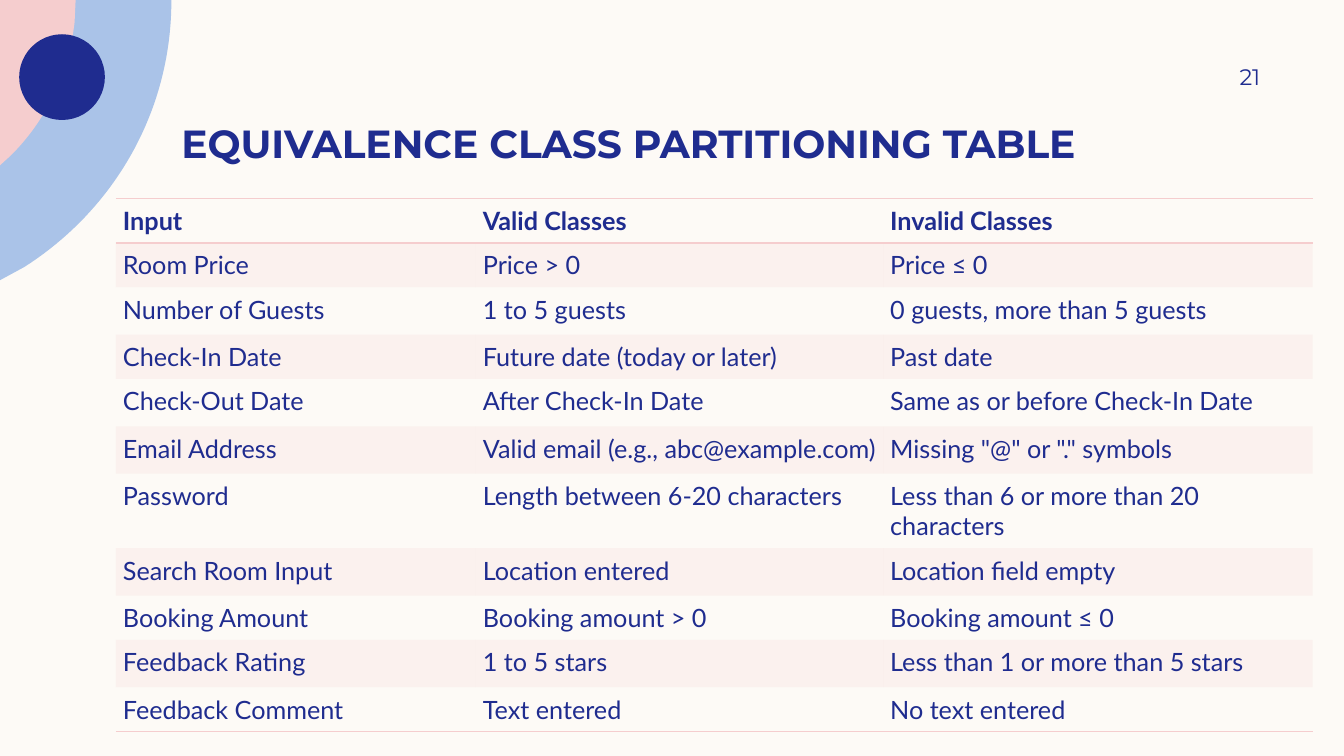
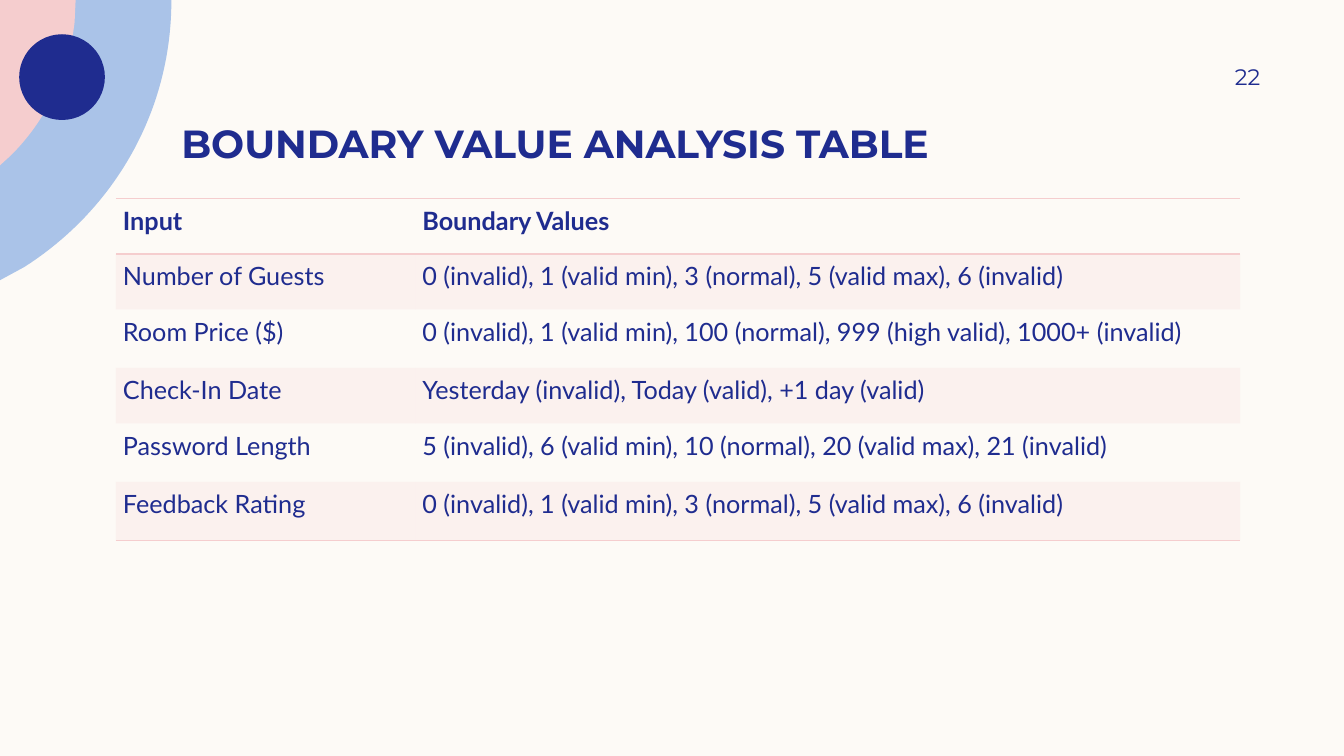
from dataclasses import dataclass

from lxml.etree import SubElement
from pptx import Presentation
from pptx.dml.color import RGBColor
from pptx.enum.shapes import MSO_SHAPE
from pptx.enum.text import MSO_ANCHOR, PP_ALIGN
from pptx.oxml.ns import qn
from pptx.shapes.autoshape import Shape
from pptx.slide import Slide
from pptx.table import _Cell
from pptx.text.text import _Paragraph
from pptx.util import Inches, Pt

CREAM, NAVY, BLUE, PINK = "FDFAF6", "1F2C8F", "AAC3E8", "F5CDCE"
TITLE_FONT, TABLE_FONT = "Montserrat", "Lato"
PLAIN_TABLE_STYLE = "{2D5ABB26-0587-4C30-8999-92F81FD0307C}"
BAND_OPACITY = 20
CELL_MARGIN = 0.07
ARC_STEPS = 40

Point = tuple[float, float]


@dataclass(frozen=True)
class CornerDisc:
    color: str
    top: Point
    curve: tuple[Point, Point, Point, Point]
    left: Point


@dataclass(frozen=True)
class TestTable:
    title: str
    page: int
    widths: tuple[float, ...]
    heights: tuple[float, ...]
    rows: tuple[tuple[str, ...], ...]


CORNER_DISCS = (
    CornerDisc(BLUE, (1.7, 0), ((1.7, 0.01), (1.7, 1.12), (1.12, 2.09), (0.24, 2.65)), (0, 2.78)),
    CornerDisc(PINK, (0.75, 0), ((0.74, 0.22), (0.68, 0.73), (0.46, 1.19), (0.11, 1.54)), (0, 1.64)),
)

TEST_TABLES = (
    TestTable(
        "EQUIVALENCE CLASS PARTITIONING TABLE",
        21,
        (3.57, 4.04, 4.26),
        (0.42, 0.42, 0.47, 0.42, 0.47, 0.47, 0.47, 0.47, 0.42, 0.47, 0.42),
        (
            ("Input", "Valid Classes", "Invalid Classes"),
            ("Room Price", "Price > 0", "Price ≤ 0"),
            ("Number of Guests", "1 to 5 guests", "0 guests, more than 5 guests"),
            ("Check-In Date", "Future date (today or later)", "Past date"),
            ("Check-Out Date", "After Check-In Date", "Same as or before Check-In Date"),
            ("Email Address", "Valid email (e.g., abc@example.com)", 'Missing "@" or "." symbols'),
            ("Password", "Length between 6-20 characters", "Less than 6 or more than 20 characters"),
            ("Search Room Input", "Location entered", "Location field empty"),
            ("Booking Amount", "Booking amount > 0", "Booking amount ≤ 0"),
            ("Feedback Rating", "1 to 5 stars", "Less than 1 or more than 5 stars"),
            ("Feedback Comment", "Text entered", "No text entered"),
        ),
    ),
    TestTable(
        "BOUNDARY VALUE ANALYSIS TABLE",
        22,
        (2.97, 8.18),
        (0.55, 0.55, 0.58, 0.55, 0.58, 0.58),
        (
            ("Input", "Boundary Values"),
            ("Number of Guests", "0 (invalid), 1 (valid min), 3 (normal), 5 (valid max), 6 (invalid)"),
            ("Room Price ($)", "0 (invalid), 1 (valid min), 100 (normal), 999 (high valid), 1000+ (invalid)"),
            ("Check-In Date", "Yesterday (invalid), Today (valid), +1 day (valid)"),
            ("Password Length", "5 (invalid), 6 (valid min), 10 (normal), 20 (valid max), 21 (invalid)"),
            ("Feedback Rating", "0 (invalid), 1 (valid min), 3 (normal), 5 (valid max), 6 (invalid)"),
        ),
    ),
)


def rgb(color: str) -> RGBColor:
    return RGBColor.from_string(color)


def add_run(paragraph: _Paragraph, text: str, font: str, size: float, bold: bool = False) -> None:
    run = paragraph.add_run()
    run.text = text
    run.font.name = font
    run.font.size = Pt(size)
    run.font.bold = bold
    run.font.color.rgb = rgb(NAVY)


def paint(shape: Shape, color: str) -> None:
    shape.shadow.inherit = False
    shape.fill.solid()
    shape.fill.fore_color.rgb = rgb(color)
    shape.line.fill.background()


def bezier_point(curve: tuple[Point, Point, Point, Point], t: float) -> Point:
    weights = ((1 - t) ** 3, 3 * t * (1 - t) ** 2, 3 * t**2 * (1 - t), t**3)
    x, y = (sum(w * point[axis] for w, point in zip(weights, curve)) for axis in (0, 1))
    return x, y


def add_corner_disc(slide: Slide, disc: CornerDisc) -> None:
    arc = [bezier_point(disc.curve, step / ARC_STEPS) for step in range(ARC_STEPS + 1)]
    outline = [(Inches(x), Inches(y)) for x, y in (disc.top, *arc, disc.left)]
    builder = slide.shapes.build_freeform(0, 0)
    builder.add_line_segments(outline, close=True)
    paint(builder.convert_to_shape(), disc.color)


def add_decoration(slide: Slide) -> None:
    for disc in CORNER_DISCS:
        add_corner_disc(slide, disc)
    dot = slide.shapes.add_shape(MSO_SHAPE.OVAL, Inches(0.19), Inches(0.34), Inches(0.85), Inches(0.85))
    paint(dot, NAVY)


def add_title(slide: Slide, title: str) -> None:
    frame = slide.shapes.add_textbox(Inches(1.7), Inches(1.01), Inches(10.8), Inches(0.64)).text_frame
    frame.word_wrap = True
    frame.vertical_anchor = MSO_ANCHOR.BOTTOM
    frame.margin_top = frame.margin_bottom = 0
    add_run(frame.paragraphs[0], title, TITLE_FONT, 28, bold=True)


def add_page_number(slide: Slide, page: int) -> None:
    frame = slide.shapes.add_textbox(Inches(11.33), Inches(0.5), Inches(1.17), Inches(0.52)).text_frame
    frame.word_wrap = True
    frame.vertical_anchor = MSO_ANCHOR.MIDDLE
    frame.margin_right = 0
    frame.paragraphs[0].alignment = PP_ALIGN.RIGHT
    add_run(frame.paragraphs[0], str(page), TITLE_FONT, 16)


def add_border(cell: _Cell, side: str) -> None:
    line = SubElement(cell._tc.get_or_add_tcPr(), qn(f"a:{side}"), w=str(Pt(1)))
    SubElement(SubElement(line, qn("a:solidFill")), qn("a:srgbClr"), val=PINK)


def fill_band(cell: _Cell) -> None:
    cell.fill.solid()
    cell.fill.fore_color.rgb = rgb(PINK)
    band_color = cell._tc.tcPr.find(qn("a:solidFill"))[0]
    SubElement(band_color, qn("a:alpha"), val=str(BAND_OPACITY * 1000))


def style_cell(cell: _Cell, row: int, last_row: int) -> None:
    cell.margin_left = cell.margin_right = Inches(CELL_MARGIN)
    cell.margin_top = cell.margin_bottom = Inches(CELL_MARGIN)
    if row == 0:
        add_border(cell, "lnT")
    if row in (0, last_row):
        add_border(cell, "lnB")
    if row % 2:
        fill_band(cell)
    else:
        cell.fill.background()


def add_test_table(slide: Slide, content: TestTable) -> None:
    frame = slide.shapes.add_table(
        len(content.rows), len(content.widths), Inches(1.15), Inches(1.97),
        Inches(sum(content.widths)), Inches(sum(content.heights)),
    )
    table = frame.table
    table._tbl.tblPr.find(qn("a:tableStyleId")).text = PLAIN_TABLE_STYLE
    table.horz_banding = False
    for column, width in zip(table.columns, content.widths):
        column.width = Inches(width)
    for row, height in zip(table.rows, content.heights):
        row.height = Inches(height)
    for r, texts in enumerate(content.rows):
        for c, text in enumerate(texts):
            cell = table.cell(r, c)
            style_cell(cell, r, len(content.rows) - 1)
            add_run(cell.text_frame.paragraphs[0], text, TABLE_FONT, 18, bold=r == 0)


def main() -> None:
    presentation = Presentation()
    presentation.slide_width = Inches(13.33)
    presentation.slide_height = Inches(7.5)
    background = presentation.slide_master.background.fill
    background.solid()
    background.fore_color.rgb = rgb(CREAM)
    for content in TEST_TABLES:
        slide = presentation.slides.add_slide(presentation.slide_layouts[6])
        add_decoration(slide)
        add_title(slide, content.title)
        add_test_table(slide, content)
        add_page_number(slide, content.page)
    presentation.save("out.pptx")


if __name__ == "__main__":
    main()
